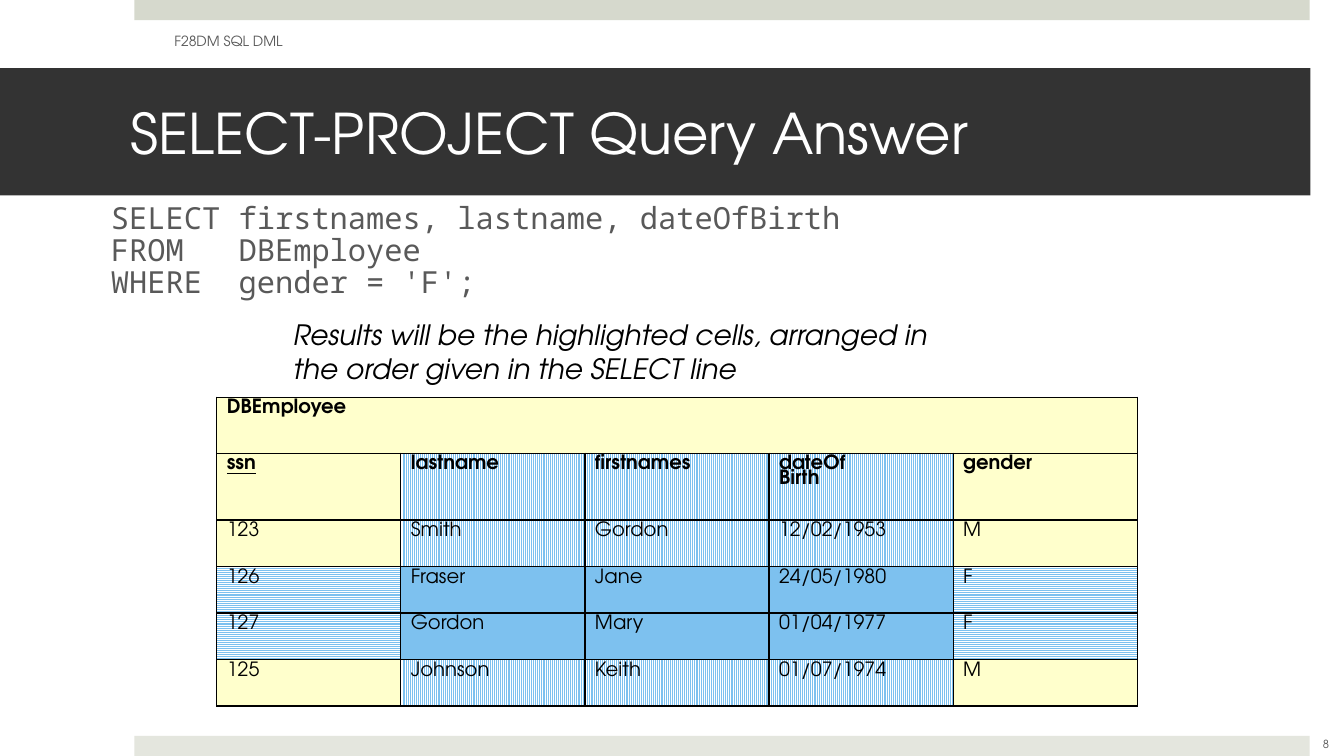
from lxml.etree import SubElement
from pptx import Presentation
from pptx.dml.color import RGBColor
from pptx.enum.dml import MSO_PATTERN
from pptx.enum.shapes import MSO_SHAPE
from pptx.enum.text import MSO_ANCHOR, PP_ALIGN
from pptx.oxml import parse_xml
from pptx.oxml.ns import nsdecls
from pptx.util import Pt

SANS, MONO = "TeX Gyre Adventor", "Noto Sans Mono"
BLACK = RGBColor(0x00, 0x00, 0x00)
WHITE = RGBColor(0xFF, 0xFF, 0xFF)
CHARCOAL = RGBColor(0x33, 0x33, 0x33)
GREY = RGBColor(0x59, 0x59, 0x59)
SAGE = RGBColor(0xD6, 0xD9, 0xCD)
PALE_SAGE = RGBColor(0xE4, 0xE6, 0xDE)
YELLOW = RGBColor(0xFF, 0xFF, 0xCC)
BLUE = RGBColor(0x7D, 0xC1, 0xEF)

prs = Presentation()
prs.slide_width, prs.slide_height = Pt(960), Pt(540)
s = prs.slides.add_slide(prs.slide_layouts[6])


def add_bar(left, top, width, height, color):
    sp = s.shapes.add_shape(MSO_SHAPE.RECTANGLE, Pt(left), Pt(top), Pt(width), Pt(height))
    sp.shadow.inherit = False
    sp.fill.solid()
    sp.fill.fore_color.rgb = color
    sp.line.fill.background()
    return sp


def write(tf, lines, size, color, name=SANS):
    """Fill a text frame with one paragraph per line, all in one font."""
    tf.word_wrap = True
    tf.text = "\n".join(lines)
    for p in tf.paragraphs:
        p.alignment = PP_ALIGN.LEFT
        p.font.name, p.font.size = name, Pt(size)
        p.font.color.rgb = color


# Bars and title
add_bar(96, 0, 839.5, 14.4, SAGE)
add_bar(96, 525.6, 839.5, 14.4, PALE_SAGE)
tf = add_bar(0, 48.7, 936, 90.8, CHARCOAL).text_frame
tf.margin_left, tf.margin_right = Pt(93.6), Pt(21.6)
tf.vertical_anchor = MSO_ANCHOR.MIDDLE
write(tf, ["SELECT-PROJECT Query Answer"], 40, WHITE)

# Header and slide number
tf = s.shapes.add_textbox(Pt(117.4), Pt(15.1), Pt(303.8), Pt(28.8)).text_frame
tf.vertical_anchor = MSO_ANCHOR.MIDDLE
write(tf, ["F28DM SQL DML"], 10, GREY)

tf = s.shapes.add_textbox(Pt(923), Pt(517), Pt(48.2), Pt(28.8)).text_frame
tf.vertical_anchor = MSO_ANCHOR.MIDDLE
write(tf, ["8"], 8, GREY)
tf.paragraphs[0].alignment = PP_ALIGN.CENTER

# Query and its explanation
query = [
    "SELECT firstnames, lastname, dateOfBirth",
    "FROM   DBEmployee",
    "WHERE  gender = 'F';",
]
tf = s.shapes.add_textbox(Pt(0), Pt(141.8), Pt(646.6), Pt(92.2)).text_frame
tf.margin_left = Pt(79.2)
write(tf, query, 21.7, GREY, MONO)
for p in tf.paragraphs:
    p.line_spacing = 0.88

tf = s.shapes.add_textbox(Pt(202.3), Pt(223.2), Pt(468), Pt(55.4)).text_frame
write(tf, ["Results will be the highlighted cells, arranged in the order given in the SELECT line"],
      20, BLACK)
tf.paragraphs[0].font.italic = True

# Employee table
rows = [
    ["DBEmployee", "", "", "", ""],
    ["ssn", "lastname", "firstnames", "dateOf\vBirth", "gender"],
    ["123", "Smith", "Gordon", "12/02/1953", "M"],
    ["126", "Fraser", "Jane", "24/05/1980", "F"],
    ["127", "Gordon", "Mary", "01/04/1977", "F"],
    ["125", "Johnson", "Keith", "01/07/1974", "M"],
]
heights = [40, 47.8] + [33.2] * 4
table = s.shapes.add_table(len(rows), 5, Pt(154.8), Pt(283.7), Pt(657.5), Pt(sum(heights))).table
for col in table.columns:
    col.width = Pt(131.5)
for row, height in zip(table.rows, heights):
    row.height = Pt(height)
table.cell(0, 0).merge(table.cell(0, 4))

for i, values in enumerate(rows):
    for j, value in enumerate(values):
        cell = table.cell(i, j)
        row_selected = values[4] == "F"
        col_selected = i > 0 and j in (1, 2, 3)
        if row_selected != col_selected:
            cell.fill.patterned()
            cell.fill.pattern = (MSO_PATTERN.LIGHT_HORIZONTAL if row_selected
                                 else MSO_PATTERN.LIGHT_VERTICAL)
            cell.fill.fore_color.rgb, cell.fill.back_color.rgb = BLUE, WHITE
        else:
            cell.fill.solid()
            cell.fill.fore_color.rgb = BLUE if row_selected else YELLOW

        tcPr = cell._tc.get_or_add_tcPr()
        for k, side in enumerate(("lnL", "lnR", "lnT", "lnB")):
            ln = parse_xml(f'<a:{side} {nsdecls("a")} w="{Pt(1)}"><a:solidFill/></a:{side}>')
            SubElement(ln[0], ln[0].tag.replace("solidFill", "srgbClr"), val=str(BLACK))
            tcPr.insert(k, ln)

        if value:
            write(cell.text_frame, [value], 14, BLACK)
            p = cell.text_frame.paragraphs[0]
            p.line_spacing = 0.8
            p.font.bold = i < 2
            p.font.underline = value == "ssn"

prs.save("out.pptx")
